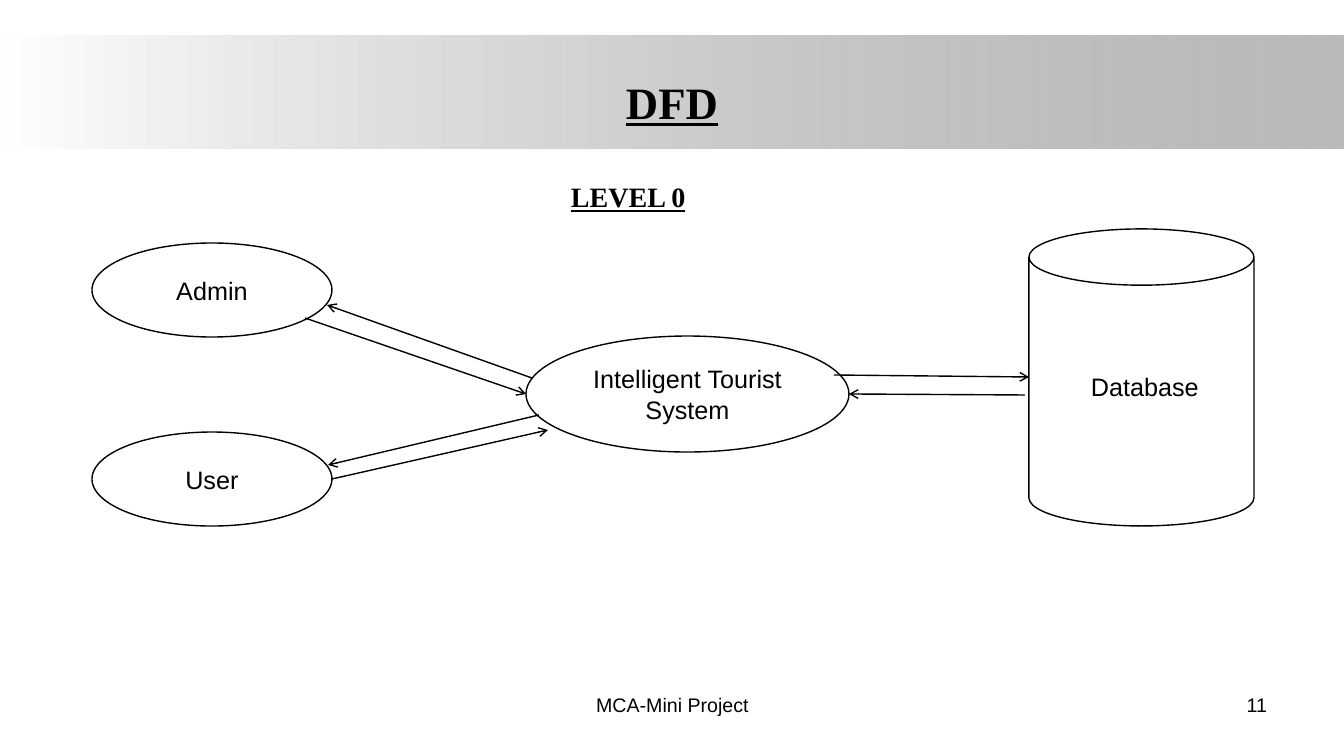
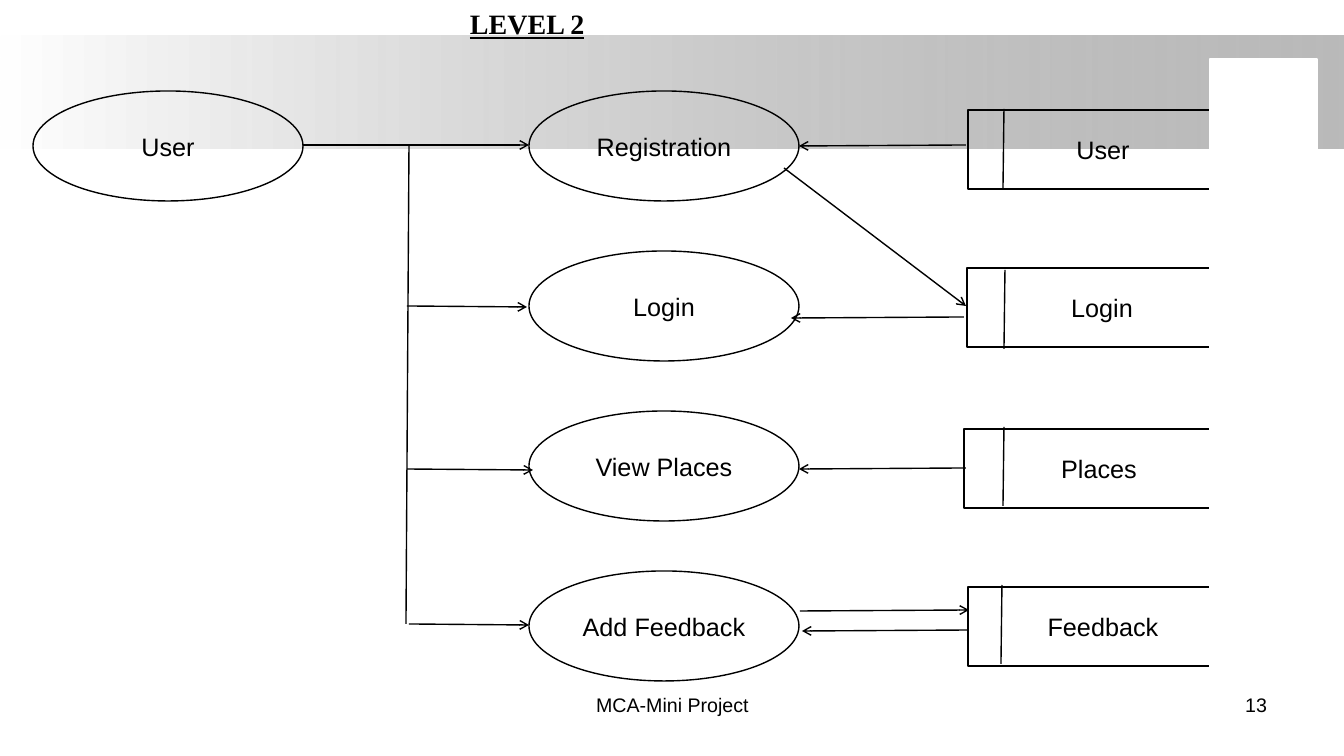
from dataclasses import dataclass
from typing import Any

from lxml import etree
from pptx import Presentation
from pptx.dml.color import RGBColor
from pptx.enum.shapes import MSO_CONNECTOR, MSO_SHAPE
from pptx.enum.text import MSO_ANCHOR, PP_ALIGN
from pptx.oxml.ns import qn
from pptx.util import Emu, Pt

OVAL, RECT, CAN = MSO_SHAPE.OVAL, MSO_SHAPE.RECTANGLE, MSO_SHAPE.CAN
LEFT, MID, RIGHT = PP_ALIGN.LEFT, PP_ALIGN.CENTER, PP_ALIGN.RIGHT
TOP, CENTER = MSO_ANCHOR.TOP, MSO_ANCHOR.MIDDLE
LINE = MSO_CONNECTOR.STRAIGHT

SCALE = 914400 / 100.8
WIDE, HIGH = 1344, 756
COLORS = {"ink": "000000", "paper": "FFFFFF", "band": "808080"}
BODY = {"name": "Arial", "size": Pt(18)}
FOOT = {"name": "Arial", "size": Pt(14)}
HEAD = {"name": "Times New Roman", "size": Pt(20), "bold": True, "underline": True}
TITLE = {**HEAD, "size": Pt(32)}


@dataclass
class Node:
    kind: Any
    text: str
    x: int
    y: int
    w: int
    h: int
    fill: str = ""
    line: str = "ink"


@dataclass
class Link:
    x1: int
    y1: int
    x2: int
    y2: int
    arrow: bool = True


@dataclass
class Label:
    text: str
    x: int
    y: int
    w: int
    h: int
    style: dict
    align: Any = LEFT


def px(*spans: int) -> list[Emu]:
    return [Emu(round(span * SCALE)) for span in spans]


def color(name: str) -> RGBColor:
    return RGBColor.from_string(COLORS[name])


def write(shape: Any, text: str, style: dict, align: Any, anchor: Any) -> None:
    frame = shape.text_frame
    frame.word_wrap = True
    frame.vertical_anchor = anchor
    para = frame.paragraphs[0]
    para.alignment = align
    run = para.add_run()
    run.text = text
    for key, value in style.items():
        setattr(run.font, key, value)
    run.font.color.rgb = color("ink")


def draw_node(slide: Any, node: Node) -> None:
    shape = slide.shapes.add_shape(node.kind, *px(node.x, node.y, node.w, node.h))
    shape.shadow.inherit = False
    if node.fill:
        shape.fill.solid()
        shape.fill.fore_color.rgb = color(node.fill)
    else:
        shape.fill.background()
    shape.line.color.rgb = color(node.line)
    shape.line.width = Pt(1)
    if node.text:
        write(shape, node.text, BODY, MID, CENTER)


def draw_link(slide: Any, link: Link) -> None:
    line = slide.shapes.add_connector(LINE, *px(link.x1, link.y1, link.x2, link.y2))
    line.line.color.rgb = color("ink")
    line.line.width = Pt(1)
    props = line._element.spPr
    if link.arrow:
        etree.SubElement(props.find(qn("a:ln")), qn("a:tailEnd"), type="arrow")
    etree.SubElement(props, qn("a:effectLst"))


def draw_label(slide: Any, label: Label) -> None:
    box = slide.shapes.add_textbox(*px(label.x, label.y, label.w, label.h))
    write(box, label.text, label.style, label.align, TOP)


def draw_band(slide: Any) -> None:
    band = slide.shapes.add_shape(RECT, *px(0, 36, WIDE, 113))
    band.shadow.inherit = False
    band.line.fill.background()
    band.fill.gradient()
    band.fill.gradient_angle = 0
    for stop, name in zip(band.fill.gradient_stops, ("paper", "band")):
        stop.color.rgb = color(name)
    tint = list(band._element.spPr.iter(qn("a:srgbClr")))[-1]
    etree.SubElement(tint, qn("a:alpha"), val="54000")


DRAW = {Node: draw_node, Link: draw_link, Label: draw_label}


def add_page(deck: Any, number: int, parts: list) -> None:
    slide = deck.slides.add_slide(deck.slide_layouts[6])
    draw_band(slide)
    foot = [
        Label("MCA-Mini Project", 460, 688, 425, 52, FOOT, MID),
        Label(str(number), 964, 688, 313, 52, FOOT, RIGHT),
    ]
    for part in foot + parts:
        DRAW[type(part)](slide, part)


def step(name: str, x: int, row: int) -> Node:
    return Node(OVAL, name, x, 91 + 160 * row, 270, 110)


def store(name: str, x: int, y: int, bar: int, top: int) -> list:
    return [Node(RECT, name, x, y, 270, 79), Link(bar, top, bar - 1, top + 79, False)]


LEVEL_0 = [
    Label("DFD", 109, 70, 1126, 62, TITLE, MID),
    Label("LEVEL 0", 561, 175, 448, 44, HEAD),
    Node(OVAL, "Admin", 92, 243, 240, 94, "paper"),
    Node(OVAL, "User", 92, 432, 240, 94, "paper"),
    Node(OVAL, "Intelligent Tourist System", 526, 336, 323, 116),
    Node(CAN, "", 1029, 229, 225, 297),
    Link(1025, 395, 849, 394),
    Link(532, 378, 327, 305),
    Link(305, 318, 526, 394),
    Link(539, 415, 328, 465),
    Link(834, 375, 1029, 377),
    Link(332, 479, 548, 430),
    Label("Database", 1081, 366, 135, 40, BODY),
]

LEVEL_2 = [
    step("User", 33, 0),
    *[step(name, 529, row) for row, name in enumerate(
        ("Registration", "Login", "View Places", "Add Feedback"))],
    *store("User", 968, 110, 1004, 109),
    *store("Login", 967, 268, 1005, 270),
    *store("Places", 964, 429, 1004, 427),
    *store("Feedback", 968, 587, 1002, 585),
    Link(303, 145, 529, 145),
    Link(784, 168, 966, 306),
    Link(964, 317, 791, 318),
    Link(966, 145, 799, 146),
    Link(966, 468, 799, 469),
    Link(968, 630, 802, 631),
    Link(409, 145, 406, 624, False),
    Link(407, 306, 527, 307),
    Link(409, 624, 529, 625),
    Link(407, 469, 533, 470),
    Node(RECT, "", 1210, 59, 107, 621, "paper", "paper"),
    Link(800, 611, 969, 610),
    Label("LEVEL 2", 460, 2, 448, 44, HEAD),
]

deck = Presentation()
deck.slide_width, deck.slide_height = px(WIDE, HIGH)
add_page(deck, 11, LEVEL_0)
add_page(deck, 13, LEVEL_2)
deck.save("out.pptx")
